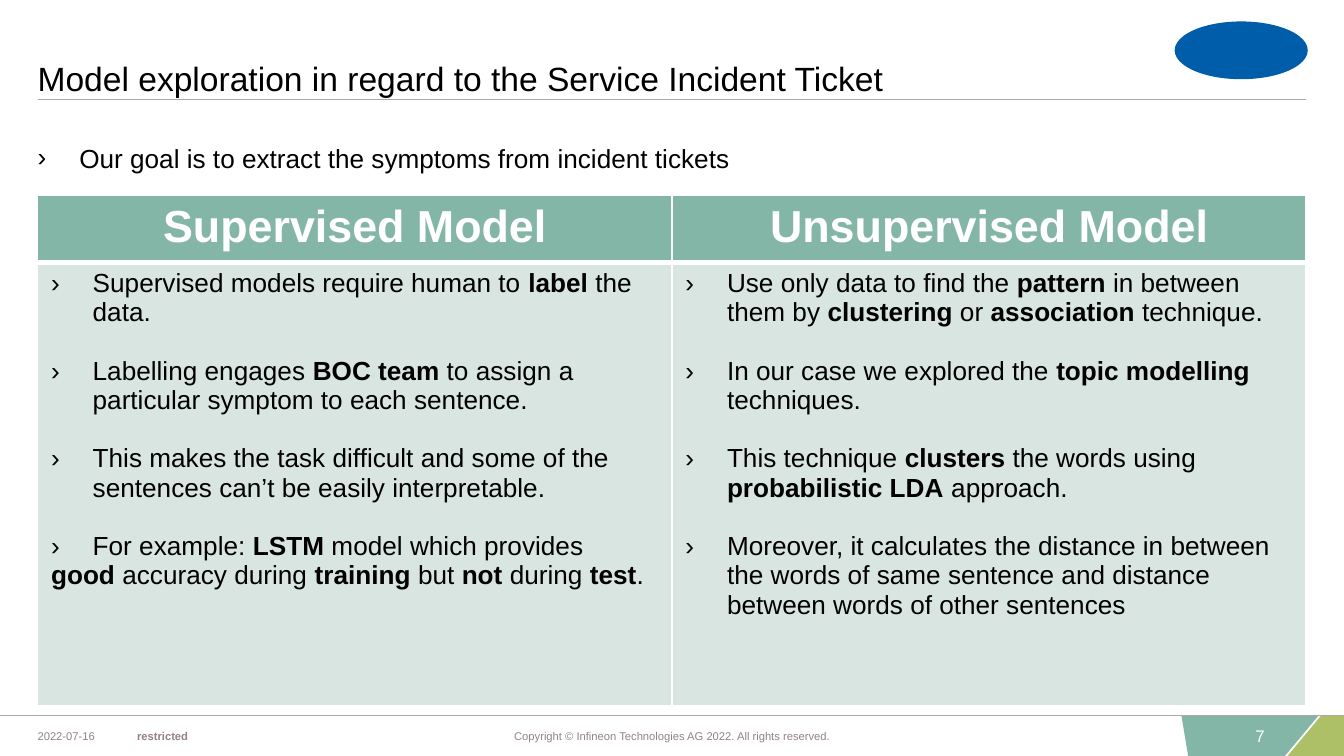
"""Build the slide comparing supervised and unsupervised models."""
from lxml import etree
from pptx import Presentation
from pptx.dml.color import RGBColor
from pptx.enum import shapes, text
from pptx.oxml import ns
from pptx.util import Inches, Pt

WHITE = RGBColor(0xFF, 0xFF, 0xFF)
BLACK = RGBColor(0, 0, 0)
GREEN = RGBColor(0x84, 0xB6, 0xA7)
PALE = RGBColor(0xD9, 0xE5, 0xE1)
LIME = RGBColor(0xAE, 0xC0, 0x67)
RULE = RGBColor(0xB0, 0xA5, 0xA7)
GREY = RGBColor(0x92, 0x82, 0x85)
BLUE = RGBColor(0x00, 0x5D, 0xA9)

W = 10
H = W * 9 / 16
FOOT = H - 0.3
LEFT, RIGHT = 0.28, 9.72

HEADERS = ["Supervised Model", "Unsupervised Model"]
POINTS = [
    ["Supervised models require human to **label** the data.",
     "Labelling engages **BOC team **to assign a particular symptom to each sentence.",
     "This makes the task difficult and some of the sentences can’t be easily interpretable.",
     "For example: **LSTM** model which provides"],
    ["Use only data to find the **pattern** in between them by **clustering** or "
     "**association** technique.",
     "In our case we explored the **topic modelling **techniques.",
     "This technique **clusters** the words using **probabilistic LDA** approach.",
     "Moreover, it calculates the distance in between the words of same sentence "
     "and distance between words of other sentences"],
]
CLOSING = "**good** accuracy during **training** but **not** during **test**."


def set_attrs(obj, **values):
    for name, value in values.items():
        setattr(obj, name, value)


def sub(parent, tag, **attrs):
    return etree.SubElement(parent, ns.qn(tag), {k: str(v) for k, v in attrs.items()})


def add_bullet(p):
    pPr = p._p.get_or_add_pPr()
    pPr.set("marL", str(Inches(0.31)))
    pPr.set("indent", str(-Inches(0.31)))
    sub(pPr, "a:buFont", typeface="Arial")
    sub(pPr, "a:buChar", char="›")


def write(p, content, size, color, bold=False, align=text.PP_ALIGN.LEFT):
    p.alignment = align
    for i, part in enumerate(content.split("**")):
        if part:
            r = p.add_run()
            r.text = part
            set_attrs(r.font, name="Arial", size=Pt(size), bold=bold or i % 2 == 1)
            r.font.color.rgb = color


def add_text(s, box, content, size, color, bullet=False, bottom=0,
             anchor=text.MSO_ANCHOR.MIDDLE, **style):
    tf = s.shapes.add_textbox(*map(Inches, box)).text_frame
    set_attrs(tf, word_wrap=True, vertical_anchor=anchor, margin_left=0,
              margin_top=0, margin_right=0, margin_bottom=Inches(bottom))
    p = tf.paragraphs[0]
    if bullet:
        add_bullet(p)
    write(p, content, size, color, **style)


def paint(sp, color):
    sp.shadow.inherit = False
    sp.fill.solid()
    sp.fill.fore_color.rgb = color
    sp.line.fill.background()


def add_polygon(s, points, color):
    start, *rest = [(Inches(x), Inches(y)) for x, y in points]
    fb = s.shapes.build_freeform(*start)
    fb.add_line_segments(rest, close=True)
    paint(fb.convert_to_shape(), color)


def add_rule(s, x1, x2, y):
    ln = s.shapes.add_connector(shapes.MSO_CONNECTOR.STRAIGHT,
                                *map(Inches, (x1, y, x2, y)))
    ln.line.color.rgb = RULE
    ln.line.width = Pt(0.75)
    sub(ln._element.spPr, "a:effectLst")


def format_cell(cell, color, **widths):
    tcPr = cell._tc.get_or_add_tcPr()
    for side in "LRTB":
        ln = sub(tcPr, f"a:ln{side}", w=Pt(widths.get(side, 1)))
        sub(sub(ln, "a:solidFill"), "a:srgbClr", val=WHITE)
    cell.fill.solid()
    cell.fill.fore_color.rgb = color


def fill_points(tf, points):
    for i, point in enumerate(points):
        p = tf.add_paragraph() if i else tf.paragraphs[0]
        if i:
            p.space_before = Pt(15.5)
        add_bullet(p)
        write(p, point, 14, BLACK)


def add_comparison(s):
    table = s.shapes.add_table(2, 2, *map(Inches, (LEFT, 1.45, RIGHT - LEFT, 3.79))).table
    table.horz_banding = False
    for row, height in zip(table.rows, (0.49, 3.3)):
        row.height = Inches(height)
    for col, (header, points) in enumerate(zip(HEADERS, POINTS)):
        head, body = table.cell(0, col), table.cell(1, col)
        format_cell(head, GREEN, B=3)
        format_cell(body, PALE, T=3)
        write(head.text_frame.paragraphs[0], header, 24, WHITE, True, text.PP_ALIGN.CENTER)
        fill_points(body.text_frame, points)
    write(table.cell(1, 0).text_frame.add_paragraph(), CLOSING, 14, BLACK)


def add_frame(s):
    add_polygon(s, [(9.83, FOOT), (W, FOOT), (W, H), (9.58, H)], LIME)
    add_polygon(s, [(8.79, FOOT), (9.81, FOOT), (9.56, H), (8.84, H)], GREEN)
    add_rule(s, 0, W, FOOT)
    add_rule(s, LEFT, RIGHT, 0.74)
    emblem = s.shapes.add_shape(shapes.MSO_SHAPE.OVAL,
                                *map(Inches, (8.74, 0.16, 0.99, 0.43)))
    paint(emblem, BLUE)
    add_text(s, (9.09, FOOT, 0.32, 0.3), "7", 9, WHITE, align=text.PP_ALIGN.RIGHT)
    add_text(s, (3.73, FOOT, 2.54, 0.3),
             "Copyright © Infineon Technologies AG 2022. All rights reserved.",
             6, GREY, align=text.PP_ALIGN.CENTER)
    add_text(s, (1.02, FOOT, 0.8, 0.3), "restricted", 6, GREY, bold=True)
    add_text(s, (LEFT, FOOT, 0.5, 0.3), "2022-07-16", 6, GREY)


def main():
    prs = Presentation()
    set_attrs(prs, slide_width=Inches(W), slide_height=Inches(H))
    s = prs.slides.add_slide(prs.slide_layouts[6])
    add_frame(s)
    add_comparison(s)
    add_text(s, (LEFT, 1.04, 5.91, 0.27),
             "Our goal is to extract the symptoms from incident tickets",
             14, BLACK, bullet=True)
    add_text(s, (LEFT, 0.15, 7.88, 0.59),
             "Model exploration in regard to the Service Incident Ticket",
             18, BLACK, bottom=0.01, anchor=text.MSO_ANCHOR.BOTTOM)
    prs.save("out.pptx")


if __name__ == "__main__":
    main()
